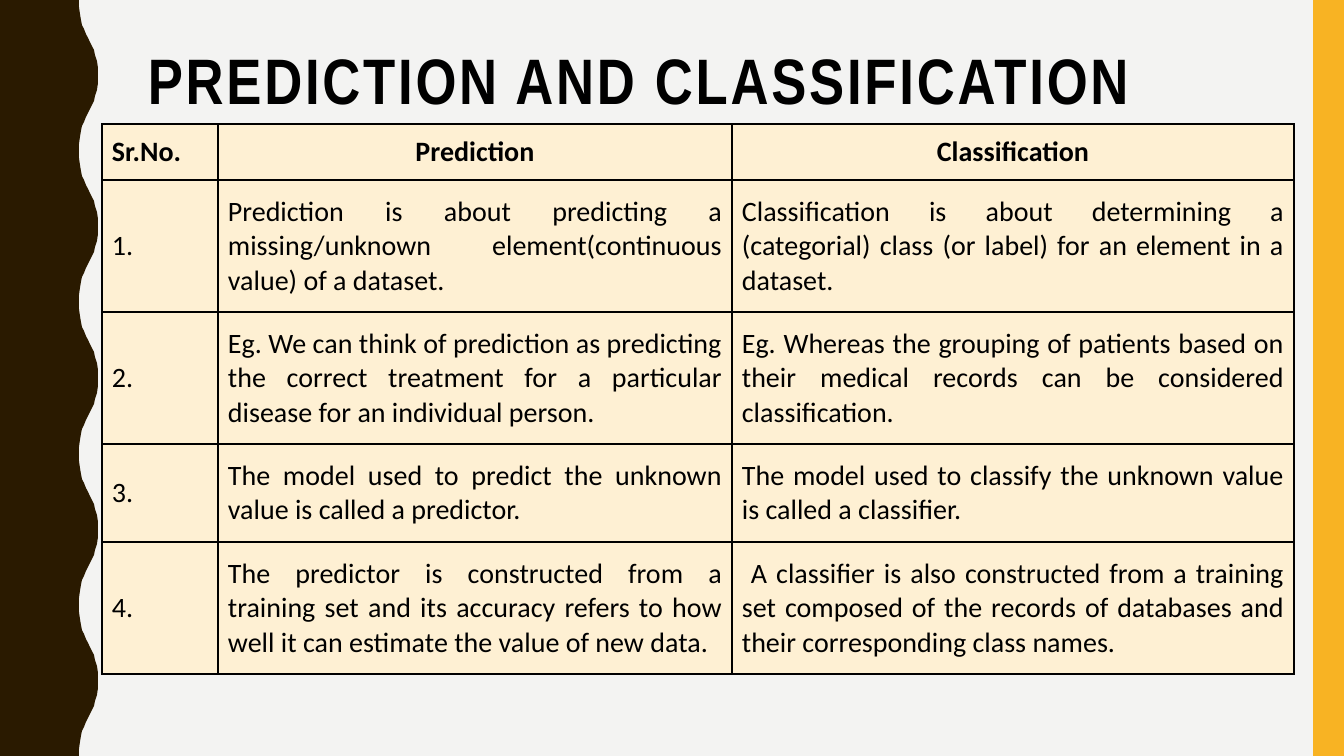
"""Build a slide comparing prediction and classification in a table."""
from lxml.etree import SubElement
from pptx import Presentation
from pptx.dml.color import RGBColor
from pptx.enum.shapes import MSO_SHAPE
from pptx.enum.text import MSO_ANCHOR, PP_ALIGN
from pptx.oxml.ns import qn
from pptx.util import Pt

EMU_PER_PX = 914400 / 100.8
WIDTH, HEIGHT = 1344, 756

BACKGROUND = RGBColor(0xF3, 0xF3, 0xF2)
BROWN = RGBColor(0x2A, 0x1A, 0x00)
YELLOW = RGBColor(0xF8, 0xB3, 0x23)
CREAM = RGBColor(0xFE, 0xF0, 0xD3)
BLACK = RGBColor(0x00, 0x00, 0x00)

WAVES = 5
HALF_WAVE = [(79, 0), (79, 7), (80, 14), (81, 20), (82, 25), (84, 29), (86, 34), (88, 38),
             (90, 42), (92, 46), (94, 50), (95, 55), (97, 61), (98, 68), (98, 76)]

COLUMNS = [116, 514, 562]
ROWS = [56, 132, 132, 98, 132]
HEADINGS = ["Sr.No.", "Prediction", "Classification"]
COMPARISON = [
    ("Prediction is about predicting a missing/unknown element(continuous value) of a dataset.",
     "Classification is about determining a (categorial) class (or label) for an element in a dataset."),
    ("Eg. We can think of prediction as predicting the correct treatment for a particular disease "
     "for an individual person.",
     "Eg. Whereas the grouping of patients based on their medical records can be considered "
     "classification."),
    ("The model used to predict the unknown value is called a predictor.",
     "The model used to classify the unknown value is called a classifier."),
    ("The predictor is constructed from a training set and its accuracy refers to how well it can "
     "estimate the value of new data.",
     " A classifier is also constructed from a training set composed of the records of databases "
     "and their corresponding class names."),
]


def px(length):
    """Turn pixels into EMU."""
    return round(length * EMU_PER_PX)


def paint(s, color):
    """Give a shape a plain fill without line or shadow."""
    s.fill.solid()
    s.fill.fore_color.rgb = color
    s.line.fill.background()
    s.shadow.inherit = False


def add_run(p, text, font, size, bold):
    """Add one black run to a paragraph."""
    r = p.add_run()
    r.text = text
    r.font.name = font
    r.font.size = Pt(size)
    r.font.bold = bold
    r.font.color.rgb = BLACK
    return r


def add_wavy_band(slide):
    """Draw the dark left band with its wavy right edge."""
    period = HEIGHT / WAVES
    back = [(x, period - y) for x, y in reversed(HALF_WAVE)]
    edge = [(x, y + i * period) for i in range(WAVES) for x, y in HALF_WAVE + back]
    builder = slide.shapes.build_freeform(0, 0, scale=EMU_PER_PX)
    builder.add_line_segments(edge + [(0, HEIGHT)], close=True)
    paint(builder.convert_to_shape(), BROWN)


def add_side_bar(slide):
    """Draw the yellow bar at the right edge."""
    s = slide.shapes.add_shape(MSO_SHAPE.RECTANGLE, px(1313), 0, px(WIDTH - 1313), px(HEIGHT))
    paint(s, YELLOW)


def add_title(slide, text):
    """Add the widely spaced heading."""
    tf = slide.shapes.add_textbox(px(138), px(42), px(1122), px(83)).text_frame
    tf.word_wrap = True
    tf.vertical_anchor = MSO_ANCHOR.MIDDLE
    p = tf.paragraphs[0]
    p.line_spacing = 0.9
    r = add_run(p, text, "Arial Narrow", 45.9, True)
    r.font._element.set("spc", "200")


def add_borders(cell):
    """Draw a thin black line on each side of a cell."""
    properties = cell._tc.get_or_add_tcPr()
    for side in ("a:lnL", "a:lnR", "a:lnT", "a:lnB"):
        line = SubElement(properties, qn(side), w=str(Pt(1)))
        fill = SubElement(line, qn("a:solidFill"))
        SubElement(fill, qn("a:srgbClr"), val=str(BLACK))


def fill_cell(cell, text, align, margin, bold):
    """Style a table cell and write its text."""
    add_borders(cell)
    cell.fill.solid()
    cell.fill.fore_color.rgb = CREAM
    cell.vertical_anchor = MSO_ANCHOR.MIDDLE
    cell.margin_left = cell.margin_right = px(10)
    cell.margin_top = cell.margin_bottom = px(margin)
    p = cell.text_frame.paragraphs[0]
    p.alignment = align
    add_run(p, text, "Calibri", 20, bold)


def add_comparison(slide):
    """Add the table of differences."""
    table = slide.shapes.add_table(len(ROWS), len(COLUMNS), px(102), px(124),
                                   px(sum(COLUMNS)), px(sum(ROWS))).table
    for column, width in zip(table.columns, COLUMNS):
        column.width = px(width)
    for row, height in zip(table.rows, ROWS):
        row.height = px(height)
    for c, heading in enumerate(HEADINGS):
        fill_cell(table.cell(0, c), heading, PP_ALIGN.CENTER if c else PP_ALIGN.LEFT, 10, True)
    for n, texts in enumerate(COMPARISON, 1):
        fill_cell(table.cell(n, 0), f"{n}.", PP_ALIGN.LEFT, 5, False)
        for c, text in enumerate(texts, 1):
            fill_cell(table.cell(n, c), text, PP_ALIGN.JUSTIFY, 15, False)


def main():
    """Build and save the slide."""
    prs = Presentation()
    prs.slide_width, prs.slide_height = px(WIDTH), px(HEIGHT)
    slide = prs.slides.add_slide(prs.slide_layouts[6])
    slide.background.fill.solid()
    slide.background.fill.fore_color.rgb = BACKGROUND
    add_wavy_band(slide)
    add_side_bar(slide)
    add_title(slide, "PREDICTION AND CLASSIFICATION")
    add_comparison(slide)
    prs.save("out.pptx")


if __name__ == "__main__":
    main()
